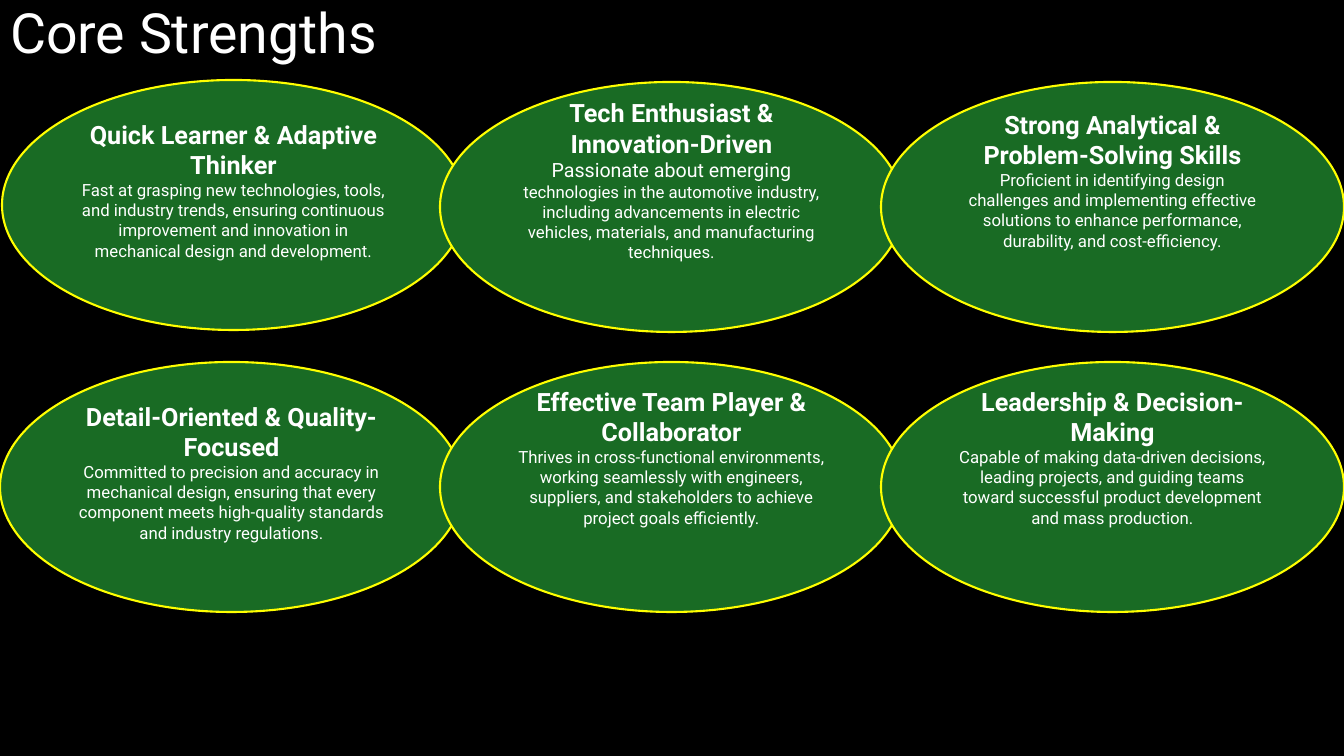
from pptx import Presentation
from pptx.dml.color import RGBColor
from pptx.enum.shapes import MSO_SHAPE as SHAPE
from pptx.enum.text import MSO_ANCHOR as ANCHOR, PP_ALIGN as ALIGN
from pptx.util import Pt

EMU_PER_PX = 914400 / 100.8
SLIDE_W, SLIDE_H = 1344, 756
OVAL_W, OVAL_H = 463, 250
COLUMNS = 3
COLUMN_SPAN = SLIDE_W - OVAL_W
TOP, ROW_PITCH = 82, 280
FONT, WHITE, BLACK, GREEN, YELLOW = "Roboto", "FFFFFF", "000000", "196B24", "FFFF00"

# heading, body runs as (text, size), room kept free below the text in px
STRENGTHS = [
    ("Quick Learner & Adaptive Thinker",
     [("Fast at grasping new technologies, tools, and industry trends, ensuring "
       "continuous improvement and innovation in mechanical design and development.", 12)], 30),
    ("Tech Enthusiast & Innovation-Driven",
     [("Passionate about emerging ", 14),
      ("technologies in the automotive industry, including advancements in electric "
       "vehicles, materials, and manufacturing techniques.", 12)], 54),
    ("Strong Analytical & Problem-Solving Skills",
     [("Proficient in identifying design challenges and implementing effective solutions "
       "to enhance performance, durability, and cost-efficiency.", 12)], 54),
    ("Detail-Oriented & Quality-Focused",
     [("Committed to precision and accuracy in mechanical design, ensuring that every "
       "component meets high-quality standards and industry regulations.", 12)], 30),
    ("Effective Team Player & Collaborator",
     [("Thrives in cross-functional environments, working seamlessly with engineers, "
       "suppliers, and stakeholders to achieve project goals efficiently.", 12)], 60),
    ("Leadership & Decision-Making",
     [("Capable of making data-driven decisions, leading projects, and guiding teams "
       "toward successful product development and mass production.", 12)], 60),
]
NUDGES = {0: (2, -2)}  # the first oval sits slightly off the grid


def px(n):
    return round(n * EMU_PER_PX)


def rgb(color):
    return RGBColor.from_string(color)


def add_run(p, text, size, bold=False):
    r = p.add_run()
    r.text = text
    r.font.name, r.font.size, r.font.bold = FONT, Pt(size), bold
    r.font.color.rgb = rgb(WHITE)


def fill_title(s, text):
    sp = s.shapes.title
    sp.left, sp.top, sp.width, sp.height = px(0), px(1), px(1159), px(70)
    tf = sp.text_frame
    tf.vertical_anchor = ANCHOR.MIDDLE
    p = tf.paragraphs[0]
    p.alignment, p.line_spacing = ALIGN.LEFT, 0.9
    add_run(p, text, 39.6)


def add_strength(s, left, top, heading, body, room_below):
    sp = s.shapes.add_shape(SHAPE.OVAL, px(left), px(top), px(OVAL_W), px(OVAL_H))
    sp.shadow.inherit = False
    sp.fill.solid()
    sp.fill.fore_color.rgb = rgb(GREEN)
    sp.line.color.rgb = rgb(YELLOW)
    sp.line.width = Pt(1.5)
    tf = sp.text_frame
    tf.word_wrap, tf.vertical_anchor = True, ANCHOR.MIDDLE
    tf.margin_bottom = px(5 + room_below)
    p = tf.paragraphs[0]
    p.alignment = ALIGN.CENTER
    add_run(p, heading, 18, bold=True)
    p = tf.add_paragraph()
    p.alignment = ALIGN.CENTER
    for text, size in body:
        add_run(p, text, size)


def main():
    prs = Presentation()
    prs.slide_width, prs.slide_height = px(SLIDE_W), px(SLIDE_H)
    s = prs.slides.add_slide(prs.slide_layouts[5])
    s.background.fill.solid()
    s.background.fill.fore_color.rgb = rgb(BLACK)
    fill_title(s, "Core Strengths")
    for i, strength in enumerate(STRENGTHS):
        row, col = divmod(i, COLUMNS)
        dx, dy = NUDGES.get(i, (0, 0))
        left = col * COLUMN_SPAN // (COLUMNS - 1)
        add_strength(s, left + dx, TOP + row * ROW_PITCH + dy, *strength)
    prs.save("out.pptx")


if __name__ == "__main__":
    main()
